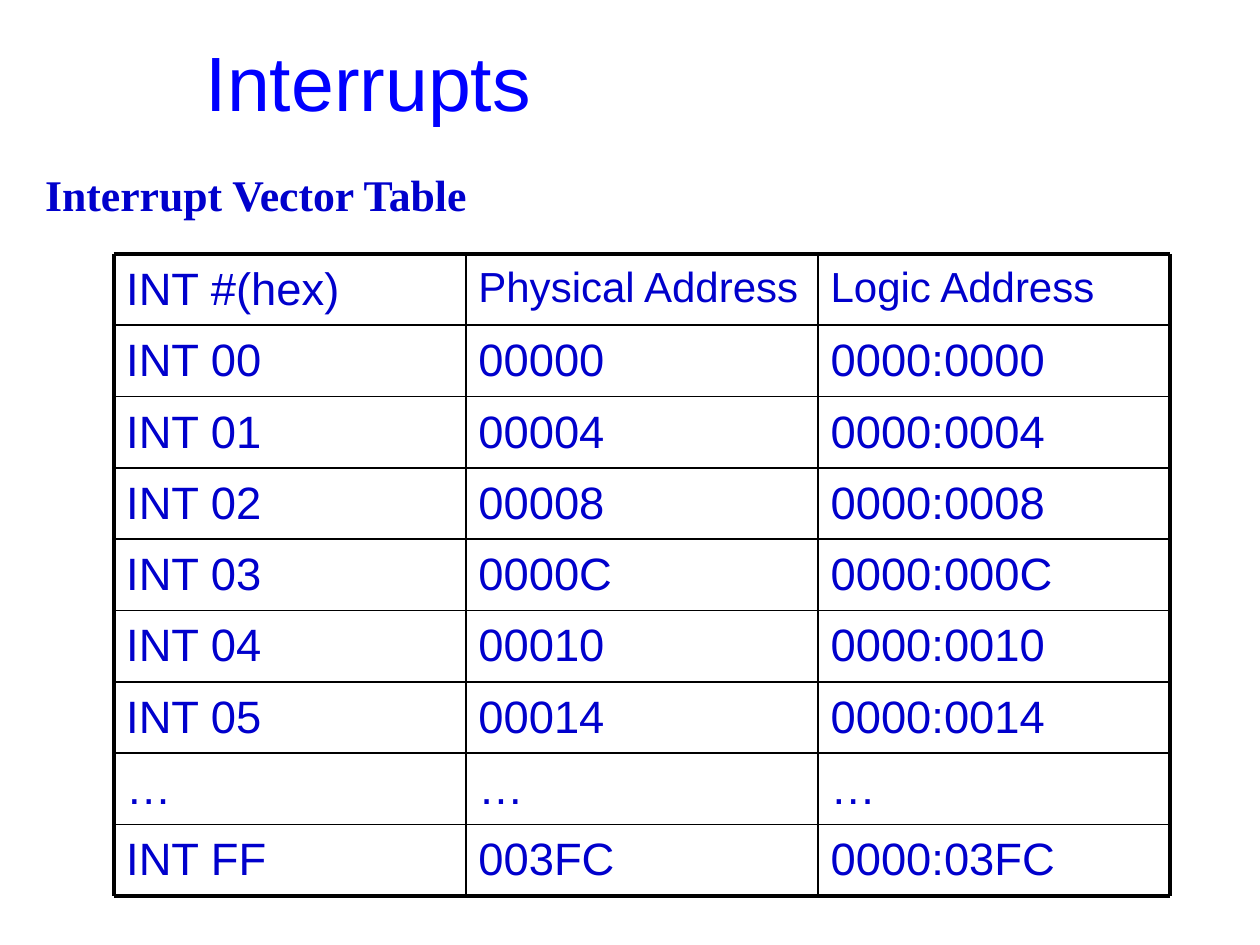
from pptx import Presentation
from pptx.dml.color import RGBColor
from pptx.enum.shapes import MSO_CONNECTOR as Connector
from pptx.enum.text import MSO_ANCHOR as Anchor
from pptx.oxml.ns import qn
from pptx.util import Cm, Pt
from lxml.etree import SubElement

COLORS = {"title": "0000FF", "text": "0000CC", "rule": "000000"}
ROWS = [
    ("INT #(hex)", "Physical Address", "Logic Address"),
    ("INT 00", "00000", "0000:0000"),
    ("INT 01", "00004", "0000:0004"),
    ("INT 02", "00008", "0000:0008"),
    ("INT 03", "0000C", "0000:000C"),
    ("INT 04", "00010", "0000:0010"),
    ("INT 05", "00014", "0000:0014"),
    ("…", "…", "…"),
    ("INT FF", "003FC", "0000:03FC"),
]


def write(frame, text, size=25.9, font="Arial", color="text", bold=False, spacing=1.0):
    """Put one formatted paragraph into a text frame."""
    paragraph = frame.paragraphs[0]
    paragraph.line_spacing = spacing
    run = paragraph.add_run()
    run.text = text
    run.font.size = Pt(size)
    run.font.name = font
    run.font.bold = bold
    run.font.color.rgb = RGBColor.from_string(COLORS[color])


class SlideBuilder:
    """Hold the rule style and the current slide."""

    outer_width = Pt(2.25)
    inner_width = Pt(1)

    def __init__(self, slide):
        self.slide = slide

    def text(self, text, left, top, width, height, anchor=Anchor.TOP, inset=0.25, **style):
        """Add a wrapped text box."""
        shape = self.slide.shapes.add_textbox(Cm(left), Cm(top), Cm(width), Cm(height))
        frame = shape.text_frame
        frame.word_wrap = True
        frame.vertical_anchor = anchor
        frame.margin_left = Cm(inset)
        write(frame, text, **style)

    def rule(self, start_x, start_y, end_x, end_y, outer):
        """Draw one table rule, heavier on the outside."""
        line = self.slide.shapes.add_connector(
            Connector.STRAIGHT, Cm(start_x), Cm(start_y), Cm(end_x), Cm(end_y))
        line.line.color.rgb = RGBColor.from_string(COLORS["rule"])
        line.line.width = self.outer_width if outer else self.inner_width
        SubElement(line._element.spPr, qn("a:effectLst"))

    def table(self, rows, left, top, width, height):
        """Add a plain table and the rules around its cells."""
        row_count, column_count = len(rows), len(rows[0])
        row_height, column_width = height / row_count, width / column_count
        table = self.slide.shapes.add_table(
            row_count, column_count, Cm(left), Cm(top), Cm(width), Cm(height)).table
        table.first_row = table.horz_banding = False
        for column in table.columns:
            column.width = Cm(column_width)
        for i, values in enumerate(rows):
            table.rows[i].height = Cm(row_height)
            for j, value in enumerate(values):
                cell = table.cell(i, j)
                cell.margin_top, cell.margin_bottom = Cm(0.21), Cm(0.1)
                write(cell.text_frame, value, size=24 if i == 0 and j > 0 else 25.9)
                cell.fill.background()
        for i in range(row_count + 1):
            y = top + i * row_height
            self.rule(left, y, left + width, y, outer=i in (0, row_count))
        for j in range(column_count + 1):
            x = left + j * column_width
            self.rule(x, top, x, top + height, outer=j in (0, column_count))


def main():
    """Build and save the slide."""
    presentation = Presentation()
    presentation.slide_width, presentation.slide_height = Cm(25.4), Cm(19.05)
    builder = SlideBuilder(presentation.slides.add_slide(presentation.slide_layouts[6]))
    builder.text("Interrupts", 3.9, 0.93, 20.8, 1.4, anchor=Anchor.MIDDLE,
                 size=44, color="title")
    builder.text("Interrupt Vector Table", 0, 2.72, 25.4, 1.85, inset=0.91,
                 size=25, font="Times New Roman", bold=True, spacing=1.5)
    builder.table(ROWS, left=2.29, top=5.12, width=21.3, height=12.94)
    presentation.save("out.pptx")


if __name__ == "__main__":
    main()
